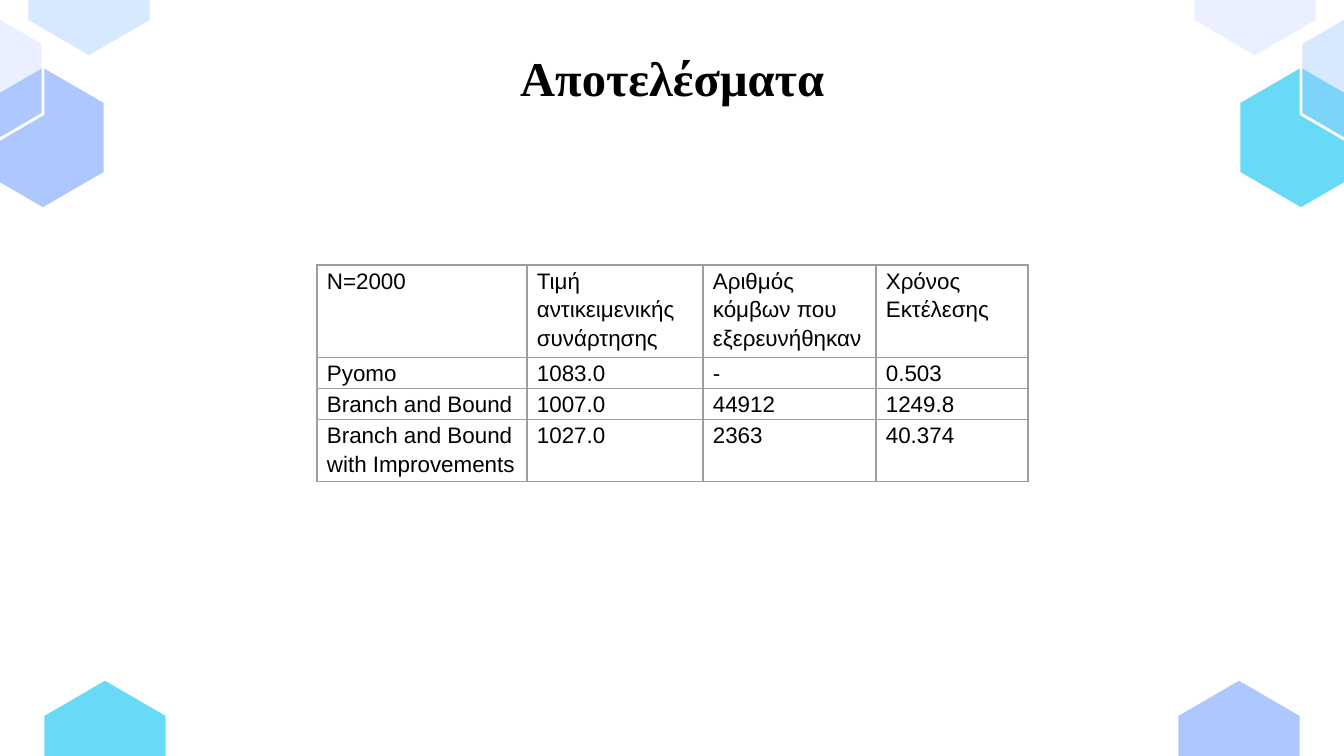
from dataclasses import dataclass

from lxml.etree import SubElement
from pptx import Presentation
from pptx.dml.color import RGBColor
from pptx.enum.text import PP_ALIGN
from pptx.oxml.ns import qn
from pptx.util import Pt

TITLE = "Αποτελέσματα"
RESULTS = [
    ["N=2000", "Τιμή αντικειμενικής συνάρτησης",
     "Αριθμός κόμβων που εξερευνήθηκαν", "Χρόνος Εκτέλεσης"],
    ["Pyomo", "1083.0", "-", "0.503"],
    ["Branch and Bound", "1007.0", "44912", "1249.8"],
    ["Branch and Bound with Improvements", "1027.0", "2363", "40.374"],
]


@dataclass(frozen=True)
class Theme:
    cyan: tuple = ("68DAF8", 100)
    periwinkle: tuple = ("AFC7FF", 100)
    pale_periwinkle: tuple = ("AFC7FF", 25)
    pale_blue: tuple = ("9FCBFD", 41)
    outline: str = "FFFFFF"
    grid: str = "9E9E9E"
    ink: str = "000000"
    title_font: str = "Times New Roman"
    body_font: str = "Arial"
    title_size: int = 26
    body_size: int = 12
    outline_width: float = 1.5
    grid_width: float = 0.75


THEME = Theme()
SLIDE_W, SLIDE_H = 1344, 756
EMU_PER_PX = 914400 / 134.4
HEX_W, HEX_H = 124, 143
HEXAGON_PAIRS = [
    (43, 679, THEME.cyan, THEME.periwinkle),
    (-19, 66, THEME.periwinkle, THEME.cyan),
    (-81, 7, THEME.pale_periwinkle, THEME.pale_blue),
    (27, -86, THEME.pale_blue, THEME.pale_periwinkle),
]
TITLE_BOX = (106, 35, 1133, 85)
TABLE_LEFT, TABLE_TOP = 317, 265
COLUMN_WIDTHS = [210, 176, 173, 152]
ROW_HEIGHTS = [87, 29, 29, 58]


def px(length):
    return round(length * EMU_PER_PX)


def write(frame, text, font, size, bold=False, align=PP_ALIGN.LEFT,
          line_spacing=None, space_after=None):
    frame.word_wrap = True
    paragraph = frame.paragraphs[0]
    paragraph.alignment = align
    paragraph.line_spacing = line_spacing
    paragraph.space_after = space_after
    run = paragraph.add_run()
    run.text = text
    run.font.name = font
    run.font.size = Pt(size)
    run.font.bold = bold
    run.font.color.rgb = RGBColor.from_string(THEME.ink)


def add_hexagon(slide, left, top, color, opacity):
    right, bottom = left + HEX_W, top + HEX_H
    middle, shoulder = left + HEX_W // 2, round(HEX_H / 4)
    builder = slide.shapes.build_freeform(middle, top, scale=EMU_PER_PX)
    builder.add_line_segments([
        (left, top + shoulder), (left, bottom - shoulder), (middle, bottom),
        (right, bottom - shoulder), (right, top + shoulder),
    ], close=True)
    hexagon = builder.convert_to_shape()
    hexagon.shadow.inherit = False
    hexagon.fill.solid()
    hexagon.fill.fore_color.rgb = RGBColor.from_string(color)
    hexagon.line.color.rgb = RGBColor.from_string(THEME.outline)
    hexagon.line.width = Pt(THEME.outline_width)
    if opacity < 100:
        tint = hexagon.element.spPr.find(qn("a:solidFill")).find(qn("a:srgbClr"))
        SubElement(tint, qn("a:alpha"), val=str(opacity * 1000))


def add_borders(cell):
    properties = cell._tc.get_or_add_tcPr()
    for index, side in enumerate(("lnL", "lnR", "lnT", "lnB")):
        border = properties.makeelement(
            qn(f"a:{side}"), {"w": str(Pt(THEME.grid_width))})
        properties.insert(index, border)
        fill = SubElement(border, qn("a:solidFill"))
        SubElement(fill, qn("a:srgbClr"), val=THEME.grid)


def add_results(slide):
    table = slide.shapes.add_table(
        len(RESULTS), len(COLUMN_WIDTHS), px(TABLE_LEFT), px(TABLE_TOP),
        px(sum(COLUMN_WIDTHS)), px(sum(ROW_HEIGHTS))).table
    table.first_row = table.horz_banding = False
    for column, width in zip(table.columns, COLUMN_WIDTHS):
        column.width = px(width)
    for row, height, values in zip(table.rows, ROW_HEIGHTS, RESULTS):
        row.height = px(height)
        for cell, value in zip(row.cells, values):
            cell.margin_left = cell.margin_right = px(10)
            cell.margin_top = cell.margin_bottom = 0
            cell.fill.background()
            add_borders(cell)
            write(cell.text_frame, value, THEME.body_font, THEME.body_size,
                  line_spacing=1.15, space_after=Pt(8))


def main():
    deck = Presentation()
    deck.slide_width, deck.slide_height = px(SLIDE_W), px(SLIDE_H)
    slide = deck.slides.add_slide(deck.slide_layouts[6])
    for left, top, left_color, right_color in HEXAGON_PAIRS:
        add_hexagon(slide, left, top, *left_color)
        add_hexagon(slide, SLIDE_W - HEX_W - left, top, *right_color)
    heading = slide.shapes.add_textbox(*map(px, TITLE_BOX)).text_frame
    heading.margin_left = heading.margin_right = px(13)
    heading.margin_top = heading.margin_bottom = px(13)
    write(heading, TITLE, THEME.title_font, THEME.title_size,
          bold=True, align=PP_ALIGN.CENTER)
    add_results(slide)
    deck.save("out.pptx")


if __name__ == "__main__":
    main()
